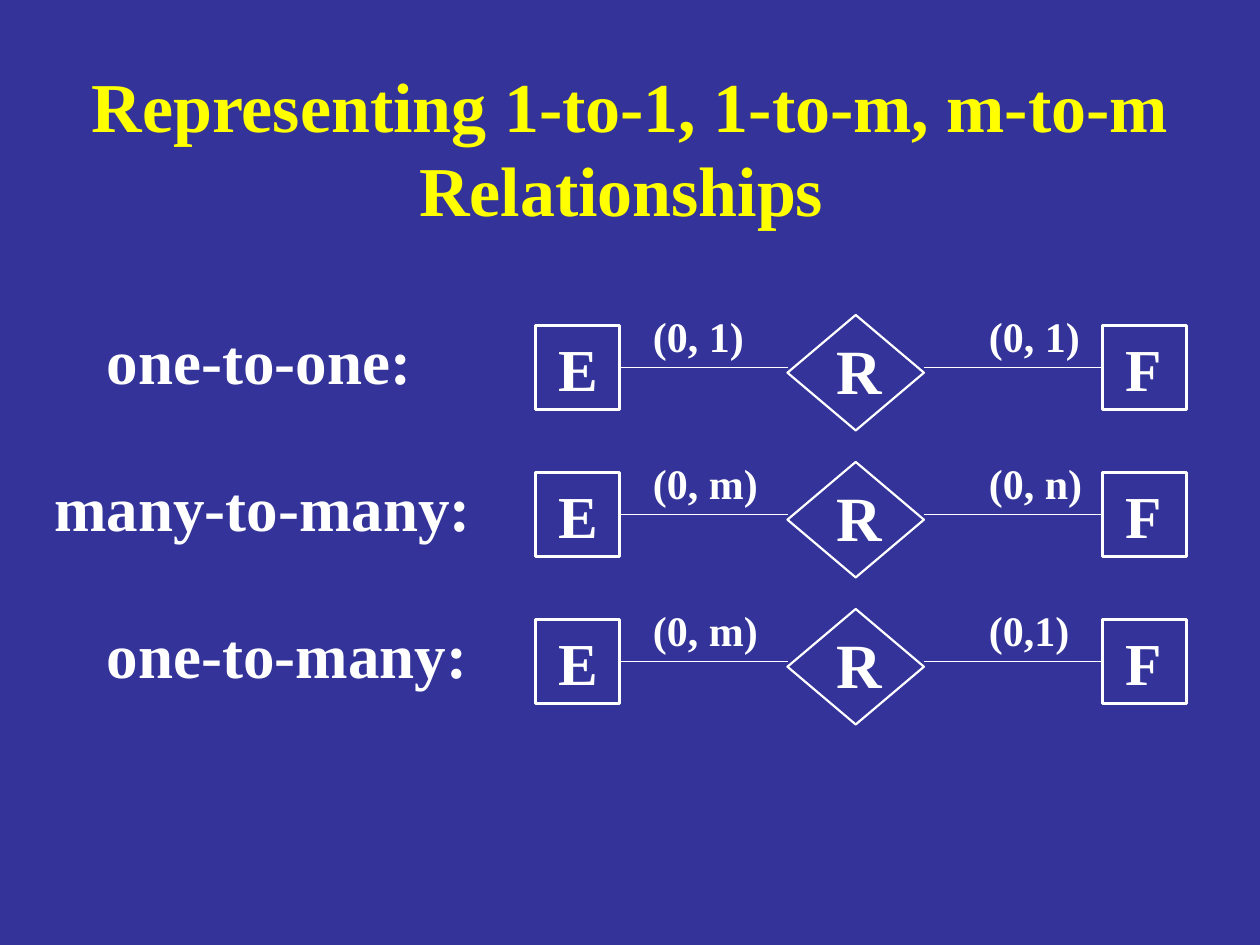
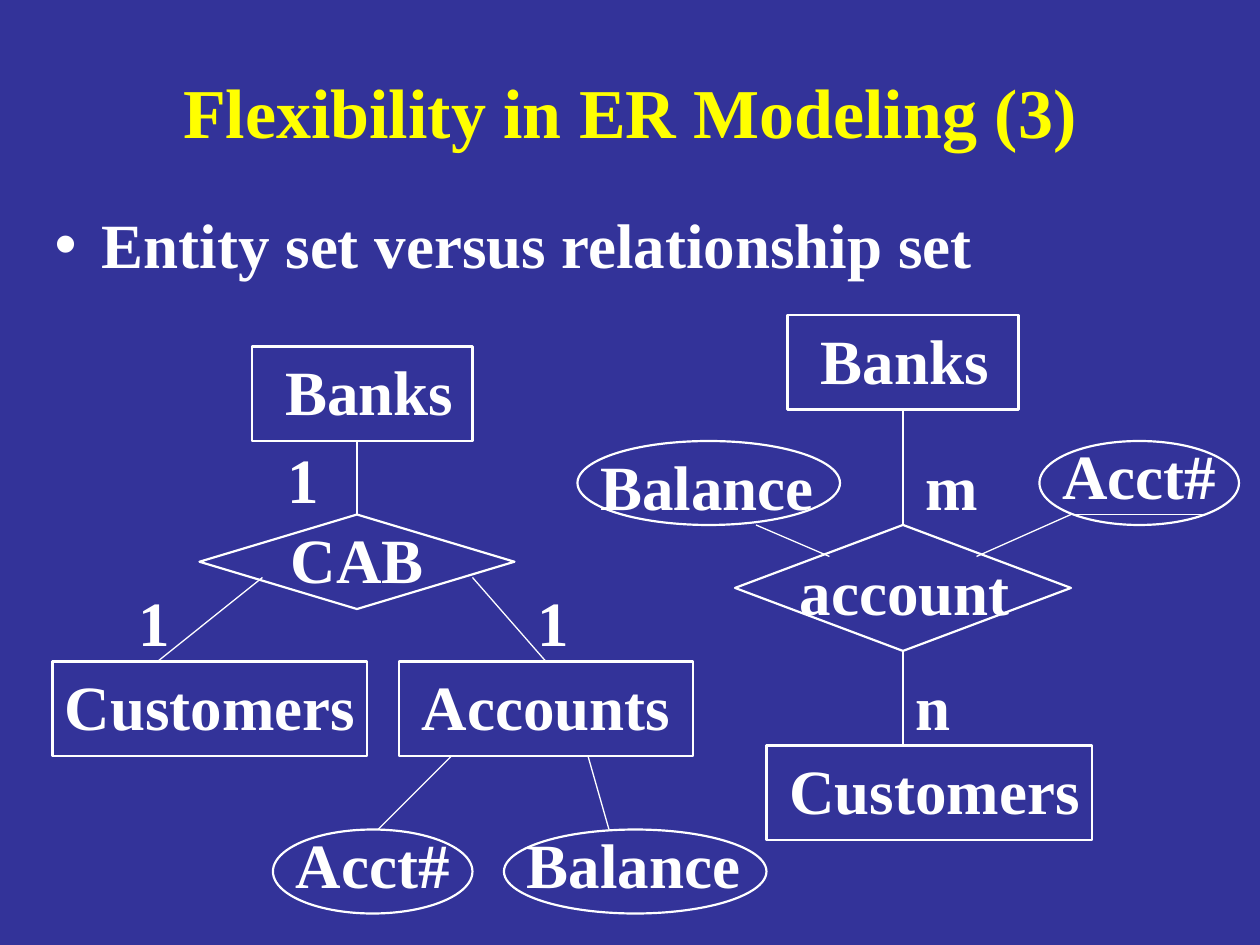
from typing import NamedTuple

from lxml.etree import SubElement
from pptx import Presentation
from pptx.dml.color import RGBColor
from pptx.enum.shapes import MSO_CONNECTOR, MSO_SHAPE
from pptx.enum.text import MSO_ANCHOR, MSO_AUTO_SIZE, PP_ALIGN
from pptx.oxml.ns import qn
from pptx.slide import Slide
from pptx.text.text import _Paragraph
from pptx.util import Pt

NAVY = RGBColor(0x33, 0x33, 0x99)
YELLOW = RGBColor(0xFF, 0xFF, 0x00)
WHITE = RGBColor(0xFF, 0xFF, 0xFF)
FONT = "Times New Roman"
TITLE_SIZE, TEXT_SIZE, ENTITY_SIZE, CARDINALITY_SIZE = 40, 36, 34, 24
OUTLINE, LINK = 1.25, 0.75
LABEL_SLACK = 4  # keeps each label on one line
TITLE_ONLY, TITLE_AND_BODY = 5, 1

ENTITY = MSO_SHAPE.RECTANGLE
RELATIONSHIP = MSO_SHAPE.DIAMOND
ATTRIBUTE = MSO_SHAPE.OVAL


class Box(NamedTuple):
    left: float
    top: float
    width: float
    height: float


class Label(NamedTuple):
    text: str
    left: float
    top: float
    width: float
    size: float = TEXT_SIZE


class Node(NamedTuple):
    """An ER symbol with its caption."""
    symbol: MSO_SHAPE
    box: Box
    caption: Label


class Link(NamedTuple):
    x1: float
    y1: float
    x2: float
    y2: float


class Relationship(NamedTuple):
    """One row: its name and the cardinalities on both sides."""
    name: Label
    left_cardinality: Label
    right_cardinality: Label


# Slide 1: rows repeat at an equal pitch; tops are those of the first row
ROW_PITCH = 84
RELATIONSHIPS = [
    Relationship(Label("one-to-one:", 54, 180, 188),
                 Label("(0, 1)", 366, 174, 66, CARDINALITY_SIZE),
                 Label("(0, 1)", 558, 174, 66, CARDINALITY_SIZE)),
    Relationship(Label("many-to-many:", 24, 180, 252),
                 Label("(0, m)", 366, 174, 74, CARDINALITY_SIZE),
                 Label("(0, n)", 558, 174, 68, CARDINALITY_SIZE)),
    Relationship(Label("one-to-many:", 54, 180, 220),
                 Label("(0, m)", 366, 174, 74, CARDINALITY_SIZE),
                 Label("(0,1)", 558, 174, 60, CARDINALITY_SIZE)),
]
ROW_NODES = [
    Node(ENTITY, Box(306, 186, 48, 48), Label("E", 312, 186, 37, ENTITY_SIZE)),
    Node(RELATIONSHIP, Box(450, 180, 78, 66), Label("R", 471, 186, 40)),
    Node(ENTITY, Box(630, 186, 48, 48), Label("F", 636, 186, 35, ENTITY_SIZE)),
]
ROW_LINKS = [Link(354, 210, 450, 210), Link(528, 210, 630, 210)]

# Slide 2: account as an entity set (left) and as a relationship set (right)
MODEL_NODES = [
    Node(ENTITY, Box(144, 198, 126, 54), Label("Banks", 156, 198, 110)),
    Node(RELATIONSHIP, Box(114, 294, 180, 54), Label("CAB", 159, 294, 90)),
    Node(ENTITY, Box(30, 378, 180, 54), Label("Customers", 30, 378, 180)),
    Node(ENTITY, Box(228, 378, 168, 54), Label("Accounts", 234, 378, 156)),
    Node(ATTRIBUTE, Box(156, 474, 114, 48), Label("Acct#", 162, 468, 102)),
    Node(ATTRIBUTE, Box(288, 474, 150, 48), Label("Balance", 294, 468, 136)),
    Node(ENTITY, Box(450, 180, 132, 54), Label("Banks", 462, 180, 110)),
    Node(ATTRIBUTE, Box(330, 252, 150, 48), Label("Balance", 336, 252, 136)),
    Node(ATTRIBUTE, Box(594, 252, 114, 48), Label("Acct#", 600, 246, 102)),
    Node(RELATIONSHIP, Box(420, 300, 192, 72), Label("account", 450, 312, 134)),
    Node(ENTITY, Box(438, 426, 186, 54), Label("Customers", 444, 426, 180)),
]
MODEL_CARDINALITIES = [
    Label("1", 157, 248, 32),
    Label("1", 72, 330, 32),
    Label("1", 300, 330, 32),
    Label("m", 522, 252, 53),
    Label("n", 516, 378, 35),
]
MODEL_LINKS = [
    Link(204, 294, 204, 252),
    Link(90, 378, 150, 330),
    Link(270, 330, 312, 378),
    Link(258, 432, 216, 474),
    Link(336, 432, 348, 474),
    Link(516, 234, 516, 300),
    Link(432, 300, 474, 318),
    Link(612, 294, 558, 318),
    Link(516, 372, 516, 426),
    Link(690, 294, 612, 294),  # underline of the key attribute
]


def add_run(paragraph: _Paragraph, text: str, size: float,
            color: RGBColor = WHITE) -> None:
    run = paragraph.add_run()
    run.text = text
    run.font.name = FONT
    run.font.size = Pt(size)
    run.font.bold = True
    run.font.color.rgb = color


def place(shape, box: Box) -> None:
    shape.left, shape.top, shape.width, shape.height = map(Pt, box)


def set_title(slide: Slide, lines: list[str], box: Box) -> None:
    title = slide.shapes.title
    place(title, box)
    frame = title.text_frame
    frame.auto_size = MSO_AUTO_SIZE.NONE
    frame.vertical_anchor = MSO_ANCHOR.MIDDLE
    paragraph = frame.paragraphs[0]
    paragraph.alignment = PP_ALIGN.CENTER
    for index, line in enumerate(lines):
        if index:
            paragraph.add_line_break()
        add_run(paragraph, line, TITLE_SIZE, YELLOW)


def set_bullet(slide: Slide, text: str, box: Box) -> None:
    body = slide.placeholders[1]
    place(body, box)
    body.text_frame.auto_size = MSO_AUTO_SIZE.NONE
    paragraph = body.text_frame.paragraphs[0]
    paragraph.space_before = Pt(0)
    properties = paragraph._p.get_or_add_pPr()
    properties.set("marL", str(Pt(27)))
    properties.set("indent", str(Pt(-27)))
    bullet_color = SubElement(properties, qn("a:buClr"))
    SubElement(bullet_color, qn("a:srgbClr"), val=str(WHITE))
    SubElement(properties, qn("a:buChar"), char="•")
    add_run(paragraph, text, TEXT_SIZE)


def draw_label(slide: Slide, label: Label, dy: float = 0) -> None:
    height = round(label.size * 1.2 + 7.2)
    textbox = slide.shapes.add_textbox(
        Pt(label.left), Pt(label.top + dy),
        Pt(label.width + LABEL_SLACK), Pt(height))
    frame = textbox.text_frame
    frame.word_wrap = True
    add_run(frame.paragraphs[0], label.text, label.size)


def draw_node(slide: Slide, node: Node, dy: float = 0) -> None:
    draw_label(slide, node.caption, dy)
    box = node.box._replace(top=node.box.top + dy)
    symbol = slide.shapes.add_shape(node.symbol, *map(Pt, box))
    symbol.shadow.inherit = False
    symbol.fill.background()
    symbol.line.color.rgb = WHITE
    symbol.line.width = Pt(OUTLINE)


def draw_link(slide: Slide, link: Link, dy: float = 0) -> None:
    line = slide.shapes.add_connector(
        MSO_CONNECTOR.STRAIGHT, Pt(link.x1), Pt(link.y1 + dy),
        Pt(link.x2), Pt(link.y2 + dy))
    line.line.color.rgb = WHITE
    line.line.width = Pt(LINK)
    SubElement(line._element.spPr, qn("a:effectLst"))


def build_relationships(slide: Slide) -> None:
    set_title(slide, ["Representing 1-to-1, 1-to-m, m-to-m", "Relationships "],
              Box(36, 30, 648, 108))
    for row, relationship in enumerate(RELATIONSHIPS):
        dy = row * ROW_PITCH
        for node in ROW_NODES:
            draw_node(slide, node, dy)
        for link in ROW_LINKS:
            draw_link(slide, link, dy)
        for label in relationship:
            draw_label(slide, label, dy)


def build_flexibility(slide: Slide) -> None:
    set_title(slide, ["Flexibility in ER Modeling (3)"], Box(54, 30, 612, 66))
    set_bullet(slide, "Entity set versus relationship set",
               Box(24, 114, 672, 402))
    for node in MODEL_NODES:
        draw_node(slide, node)
    for link in MODEL_LINKS:
        draw_link(slide, link)
    for label in MODEL_CARDINALITIES:
        draw_label(slide, label)


def main() -> None:
    deck = Presentation()
    deck.slide_width, deck.slide_height = Pt(720), Pt(540)
    # Shared background
    background = deck.slide_master.background.fill
    background.solid()
    background.fore_color.rgb = NAVY
    build_relationships(deck.slides.add_slide(deck.slide_layouts[TITLE_ONLY]))
    build_flexibility(deck.slides.add_slide(deck.slide_layouts[TITLE_AND_BODY]))
    deck.save("out.pptx")


if __name__ == "__main__":
    main()
